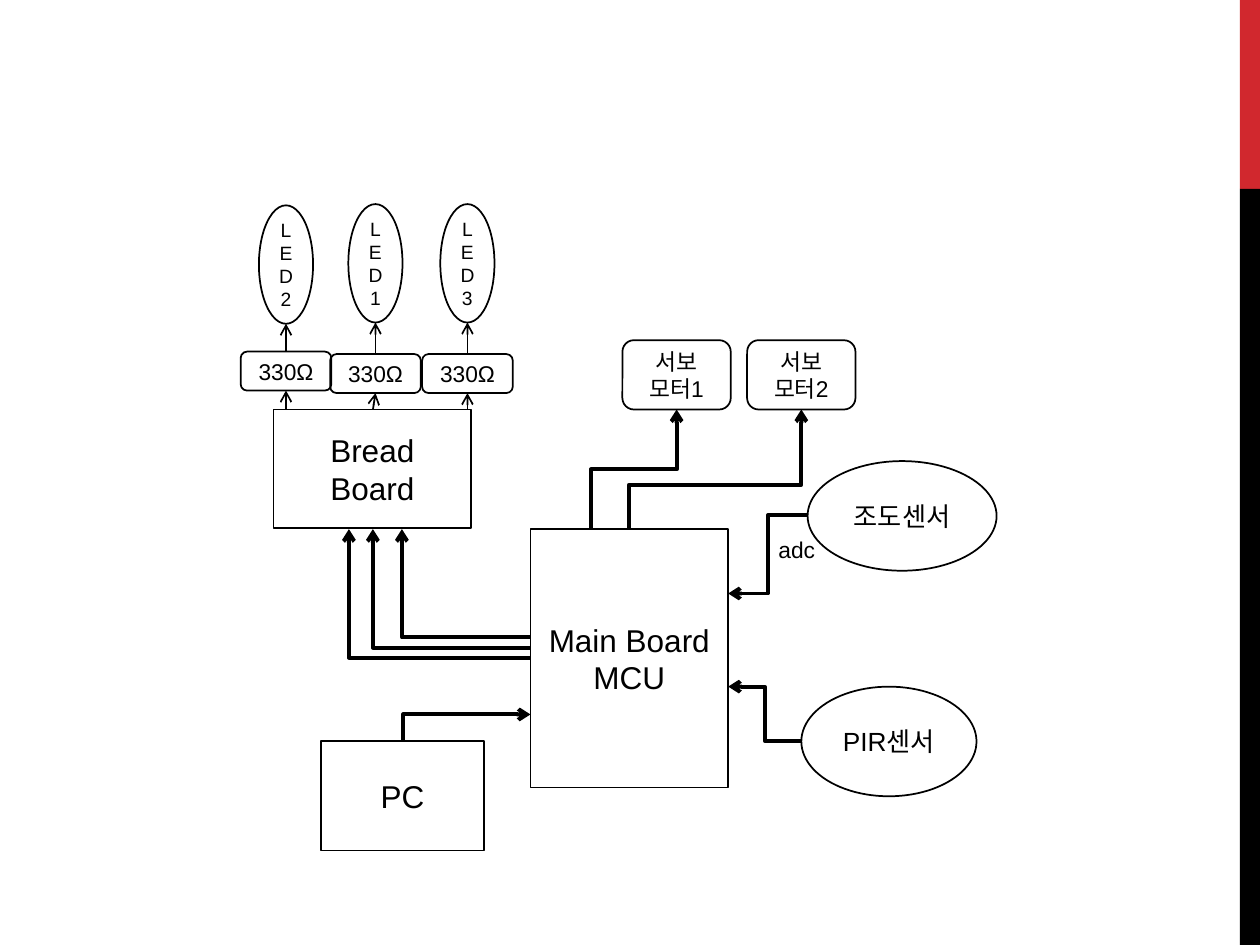
from lxml.etree import SubElement
from pptx import Presentation
from pptx.dml.color import RGBColor
from pptx.enum.shapes import MSO_CONNECTOR, MSO_SHAPE
from pptx.enum.text import MSO_ANCHOR, PP_ALIGN
from pptx.oxml.ns import qn
from pptx.util import Inches, Pt

COLORS = {"accent": "D1282E", "ink": "000000"}
FONT = "Arial"
SLIDE_W, SLIDE_H = 10, 7.5
BAND_X, BAND_SPLIT = 0.984 * SLIDE_W, 0.2 * SLIDE_H

RECT, OVAL, ROUND = MSO_SHAPE.RECTANGLE, MSO_SHAPE.OVAL, MSO_SHAPE.ROUNDED_RECTANGLE
THIN, THICK = 1, 2.25

# Blocks: outline, left, top, width, height, text size, lines of text
BLOCKS = [
    (RECT, 4.21, 4.2, 1.57, 2.05, 18, ["Main Board", "MCU"]),
    (RECT, 2.17, 3.25, 1.57, 0.94, 18, ["Bread Board"]),
    (RECT, 2.55, 5.88, 1.29, 0.87, 18, ["PC"]),
    (OVAL, 6.41, 3.66, 1.5, 0.87, 15, ["조도센서"]),
    (OVAL, 6.36, 5.45, 1.39, 0.87, 15, ["PIR센서"]),
    (ROUND, 4.94, 2.7, 0.86, 0.55, 13, ["서보", "모터1"]),
    (ROUND, 5.93, 2.7, 0.86, 0.55, 13, ["서보", "모터2"]),
]

# LED branches: label, centre, LED top, resistor top, start of the lower arrow
LED_BRANCHES = [
    ("LED2", 2.27, 1.63, 2.79, 2.27),
    ("LED1", 2.98, 1.62, 2.81, 2.96),
    ("LED3", 3.71, 1.62, 2.81, 3.71),
]
LED_W, LED_H = 0.43, 0.94
RESISTOR_W, RESISTOR_H = 0.72, 0.31
BOARD_TOP = 3.25

# Bent arrows: start, end, first direction, share of the run before the bend
# (None for a single corner)
SIGNALS = [
    ((4.21, 5.06), (3.19, 4.2), "h", None),
    ((4.21, 5.14), (2.96, 4.2), "h", None),
    ((4.21, 5.22), (2.77, 4.2), "h", None),
    ((3.2, 5.88), (4.21, 5.67), "up", None),
    ((6.41, 4.09), (5.78, 4.71), "h", 0.5),
    ((6.36, 5.88), (5.78, 5.45), "h", 0.5),
    ((4.69, 4.2), (5.37, 3.25), "up", 0.5),
    ((4.99, 4.2), (6.36, 3.25), "up", 0.37),
]


def color(name):
    return RGBColor.from_string(COLORS[name])


def write(frame, lines, size, align):
    for i, line in enumerate(lines):
        paragraph = frame.paragraphs[0] if i == 0 else frame.add_paragraph()
        paragraph.alignment = align
        run = paragraph.add_run()
        run.text = line
        run.font.size, run.font.name = Pt(size), FONT
        run.font.color.rgb = color("ink")


def add_band(slide, top, height, fill):
    band = slide.shapes.add_shape(
        RECT, Inches(BAND_X), Inches(top), Inches(SLIDE_W - BAND_X), Inches(height))
    band.shadow.inherit = False
    band.fill.solid()
    band.fill.fore_color.rgb = color(fill)
    band.line.fill.background()


def add_block(slide, outline, left, top, width, height, size, lines):
    block = slide.shapes.add_shape(outline, *map(Inches, (left, top, width, height)))
    block.shadow.inherit = False
    block.fill.background()
    block.line.color.rgb = color("ink")
    block.line.width = Pt(THIN)
    block.text_frame.word_wrap = True
    block.text_frame.vertical_anchor = MSO_ANCHOR.MIDDLE
    write(block.text_frame, lines, size, PP_ALIGN.CENTER)


def add_arrow(slide, kind, start, end, width):
    arrow = slide.shapes.add_connector(kind, *map(Inches, (*start, *end)))
    arrow.line.color.rgb = color("ink")
    arrow.line.width = Pt(width)
    SubElement(arrow.line._get_or_add_ln(), qn("a:tailEnd"), type="arrow")
    SubElement(arrow._element.spPr, qn("a:effectLst"))
    return arrow


def add_signal(slide, start, end, direction, bend):
    if direction == "up":
        # Lay the box on its side about its centre, then turn it upwards
        mid_x, mid_y = (start[0] + end[0]) / 2, (start[1] + end[1]) / 2
        half_w, half_h = abs(end[1] - start[1]) / 2, abs(end[0] - start[0]) / 2
        start, end = (mid_x - half_w, mid_y - half_h), (mid_x + half_w, mid_y + half_h)
    arrow = add_arrow(slide, MSO_CONNECTOR.ELBOW, start, end, THICK)
    properties = arrow._element.spPr
    if direction == "up":
        properties.find(qn("a:xfrm")).set("rot", str(270 * 60000))
    geometry = properties.find(qn("a:prstGeom"))
    if bend is None:
        geometry.set("prst", "bentConnector2")
    else:
        SubElement(geometry.find(qn("a:avLst")), qn("a:gd"),
                   name="adj1", fmla=f"val {round(bend * 100000)}")


def main():
    deck = Presentation()
    deck.slide_width, deck.slide_height = Inches(SLIDE_W), Inches(SLIDE_H)
    slide = deck.slides.add_slide(deck.slide_layouts[6])

    # Side band
    add_band(slide, 0, BAND_SPLIT, "accent")
    add_band(slide, BAND_SPLIT, SLIDE_H - BAND_SPLIT, "ink")

    # Signals, then the blocks they join
    for signal in SIGNALS:
        add_signal(slide, *signal)
    for block in BLOCKS:
        add_block(slide, *block)

    # LEDs with their resistors
    for label, center, led_top, resistor_top, board_x in LED_BRANCHES:
        add_block(slide, OVAL, center - LED_W / 2, led_top, LED_W, LED_H, 11, [label])
        add_block(slide, ROUND, center - RESISTOR_W / 2, resistor_top,
                  RESISTOR_W, RESISTOR_H, 13, ["330Ω"])
        add_arrow(slide, MSO_CONNECTOR.STRAIGHT, (board_x, BOARD_TOP),
                  (center, resistor_top + RESISTOR_H), THIN)
        add_arrow(slide, MSO_CONNECTOR.STRAIGHT, (center, resistor_top),
                  (center, led_top + LED_H), THIN)

    # Label of the light sensor signal
    adc = slide.shapes.add_textbox(*map(Inches, (6.08, 4.2, 0.63, 0.32)))
    adc.text_frame.word_wrap = True
    write(adc.text_frame, ["adc"], 13, PP_ALIGN.LEFT)

    deck.save("out.pptx")


if __name__ == "__main__":
    main()
